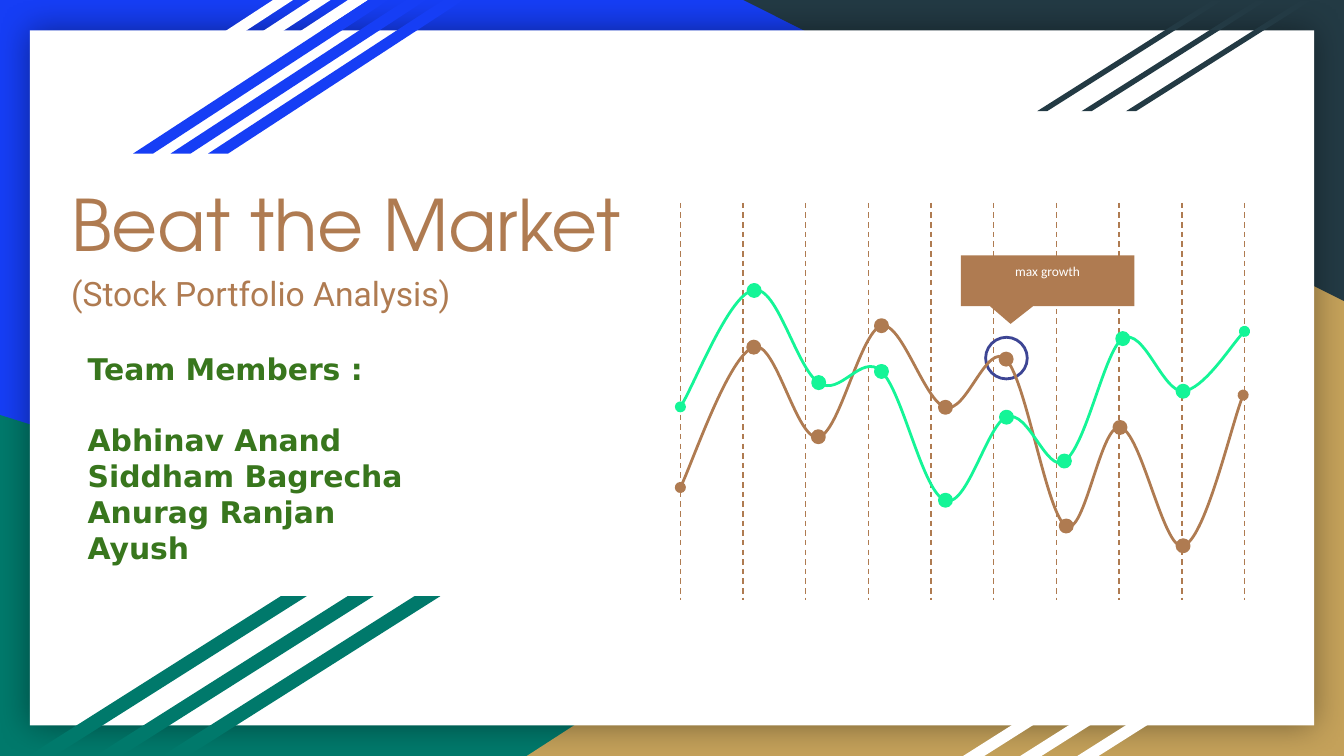
import lxml.etree
import pptx
import pptx.dml.color
import pptx.enum.dml
import pptx.enum.shapes
import pptx.enum.text
import pptx.oxml.ns
import pptx.util

Pt = pptx.util.Pt
SHAPE = pptx.enum.shapes.MSO_SHAPE
ANCHOR = pptx.enum.text.MSO_ANCHOR
ALIGN = pptx.enum.text.PP_ALIGN
qn = pptx.oxml.ns.qn
BLUE, GREEN, GOLD, SLATE = "163EF5", "00796B", "C4A15A", "233A44"
WHITE, BROWN, MINT = "FFFFFF", "AF7B51", "14F597"


def color(target, value):
    """Give a fill, or a font's or line's fill, a solid colour from a hex string."""
    target.solid()
    target.fore_color.rgb = pptx.dml.color.RGBColor.from_string(value)


def add_shape(kind, left, top, width, height, fill=None, line=None, adjustments=()):
    """Add a preset shape without shadow; fill and line are hex strings or None."""
    shape = slide.shapes.add_shape(kind, Pt(left), Pt(top), Pt(width), Pt(height))
    shape.shadow.inherit = False
    for target, value in ((shape.fill, fill), (shape.line.fill, line)):
        if value:
            color(target, value)
        else:
            target.background()
    if line:
        shape.line.width = Pt(1.5)
    for index, value in enumerate(adjustments):
        shape.adjustments[index] = value
    return shape


presentation = pptx.Presentation()
presentation.slide_width, presentation.slide_height = Pt(720), Pt(405)
slide = presentation.slides.add_slide(presentation.slide_layouts[6])
color(slide.background.fill, BLUE)

# Coloured corners and the white card
add_shape(SHAPE.RIGHT_TRIANGLE, 0, 222.3, 580.3, 182.7, GREEN)
gold_corner = add_shape(SHAPE.RIGHT_TRIANGLE, 282.2, 122.2, 437.8, 282.8, GOLD)
gold_corner._element.spPr.find(qn("a:xfrm")).set("flipH", "1")
add_shape(SHAPE.RIGHT_TRIANGLE, 398.2, 0, 321.8, 161.3, SLATE).rotation = 180
card = add_shape(SHAPE.RECTANGLE, 16, 16.3, 688, 372.3, WHITE)
effects = card._element.spPr.find(qn("a:effectLst"))
shadow = lxml.etree.SubElement(effects, qn("a:outerShdw"), blurRad=str(Pt(18)), dist="0",
                               algn="ctr", rotWithShape="0")
shadow_color = lxml.etree.SubElement(shadow, qn("a:srgbClr"), val="000000")
lxml.etree.SubElement(shadow_color, qn("a:alpha"), val="40000")

# Slanted stripes, three to a group: left, step, top, width, height, slant, fill
stripe_groups = [
    (20.2, 20.1, 0, 136.8, 82.3, 1.532, WHITE),
    (71.3, 20.1, 0, 136.8, 82.3, 1.532, BLUE),
    (555.6, 23.8, 0.6, 98.6, 59, 1.58, SLATE),
    (516, 30.6, 332, 126.7, 73, 1.58, WHITE),
    (15.8, 35.8, 319.4, 148.5, 85.2, 1.58, GREEN),
]
for left, step, top, width, height, slant, fill in stripe_groups:
    for index in (2, 1, 0):
        add_shape(SHAPE.PARALLELOGRAM, left + index * step, top, width, height, fill,
                  adjustments=[slant])

# Dashed grid
for index in range(10):
    x = Pt(364.5 + index * 33.58)
    grid_line = slide.shapes.add_connector(
        pptx.enum.shapes.MSO_CONNECTOR.STRAIGHT, x, Pt(108.7), x, Pt(321.5))
    color(grid_line.line.fill, BROWN)
    grid_line.line.width = Pt(0.75)
    grid_line.line.dash_style = pptx.enum.dml.MSO_LINE.DASH
    lxml.etree.SubElement(grid_line._element.spPr, qn("a:effectLst"))

add_shape(SHAPE.OVAL, 528, 180.7, 22.3, 22.3, line="3D4594")

# Curves: a start point, then two control points and an end point for each piece
curves = {
    BROWN: [
        (364.5, 261.2),
        (370.8, 248.4), (391, 190.1), (403.8, 186),
        (415.4, 181.4), (427, 236.9), (438.4, 234),
        (449.3, 233.3), (460.8, 177.8), (472.2, 174.5),
        (483.1, 172.1), (495.4, 215.3), (506.5, 218.2),
        (517.7, 221.8), (528.5, 182.9), (539, 192.4),
        (550.1, 204.5), (560.9, 276.5), (571.2, 281.8),
        (581, 288), (589.7, 226.8), (600, 229),
        (611.3, 230.4), (623.5, 295.9), (633.8, 292.4),
        (645.1, 290.2), (660.2, 225.4), (666, 211.7),
    ],
    MINT: [
        (364.5, 218),
        (371.5, 207.4), (391.7, 156.2), (404, 155.6),
        (416.2, 152.6), (427, 198), (438.6, 205),
        (450, 213.1), (461.5, 188.6), (472.2, 199),
        (483.8, 210.2), (494.6, 265), (506.5, 268),
        (517.7, 272.9), (529.2, 226.8), (539.2, 223.5),
        (550.8, 218.9), (560.9, 254.2), (570.2, 247),
        (581.8, 239.8), (591.8, 187.2), (601.5, 181.4),
        (612.7, 175), (622.8, 210.2), (633.8, 209.6),
        (644.4, 208.8), (661, 182.9), (666.7, 177.6),
    ],
}
DOT = 6.5
for stroke, points in curves.items():
    start, *others = [(Pt(x), Pt(y)) for x, y in points]
    builder = slide.shapes.build_freeform(*start)
    builder.add_line_segments(others, close=False)
    curve = builder.convert_to_shape()
    # Turn every three line ends into one cubic Bézier piece
    line_ends = list(curve._element.iter(qn("a:lnTo")))
    for index in range(0, len(line_ends), 3):
        bezier = lxml.etree.Element(qn("a:cubicBezTo"))
        line_ends[index].addprevious(bezier)
        for line_end in line_ends[index:index + 3]:
            bezier.append(line_end[0])
            line_end.getparent().remove(line_end)
    curve.shadow.inherit = False
    curve.fill.background()
    color(curve.line.fill, stroke)
    curve.line.width = Pt(1.5)
    outline = curve._element.spPr.find(qn("a:ln"))
    for end in ("a:headEnd", "a:tailEnd"):
        lxml.etree.SubElement(outline, qn(end), type="oval")
    for x, y in points[3:-1:3]:
        add_shape(SHAPE.OVAL, x - DOT / 2, y - DOT / 2, DOT, DOT, stroke, stroke)
    if stroke == BROWN:
        add_shape(SHAPE.ROUNDED_RECTANGULAR_CALLOUT, 514.8, 136.8, 92.9, 27.2, BROWN,
                  adjustments=[-0.214, 0.85, 0])

# Texts: box, lines, anchor, paragraph format, colour, highlight, font format
members = ["Team Members :", "Abhinav Anand", "Siddham Bagrecha", "Anurag Ranjan", "Ayush"]
texts = [
    ((31, 86.4, 647.3, 66.2), ["Beat the Market"], ANCHOR.MIDDLE, {}, BROWN, None,
     {"name": "TeX Gyre Adventor", "size": Pt(38)}),
    ((31, 139, 519.8, 36), ["(Stock Portfolio Analysis)"], ANCHOR.TOP, {}, BROWN, None,
     {"name": "Roboto", "size": Pt(18)}),
    ((514.8, 139, 92.9, 22.3), ["max growth"], ANCHOR.TOP,
     {"alignment": ALIGN.CENTER, "line_spacing": 0.8}, WHITE, None,
     {"name": "Calibri", "size": Pt(7.2)}),
    ((39.9, 180.7, 519.8, 131), members, ANCHOR.TOP, {}, "38761D", WHITE,
     {"name": "DejaVu Sans", "size": Pt(16), "bold": True}),
]
for box, lines, anchor, paragraph_format, text_color, highlight, font_format in texts:
    frame = slide.shapes.add_textbox(*map(Pt, box)).text_frame
    frame.word_wrap = True
    frame.vertical_anchor = anchor
    for side in ("left", "right", "top", "bottom"):
        setattr(frame, f"margin_{side}", Pt(7.2))
    frame.text = "\n".join(lines)
    for paragraph in frame.paragraphs:
        for name, value in paragraph_format.items():
            setattr(paragraph, name, value)
        font = paragraph.runs[0].font
        color(font.fill, text_color)
        for name, value in font_format.items():
            setattr(font, name, value)
        if highlight:
            mark = lxml.etree.Element(qn("a:highlight"))
            lxml.etree.SubElement(mark, qn("a:srgbClr"), val=highlight)
            paragraph.runs[0]._r.rPr.find(qn("a:solidFill")).addnext(mark)
# The last frame lists the team: set the names apart from the heading
frame.paragraphs[1].space_before = Pt(19)

presentation.save("out.pptx")
